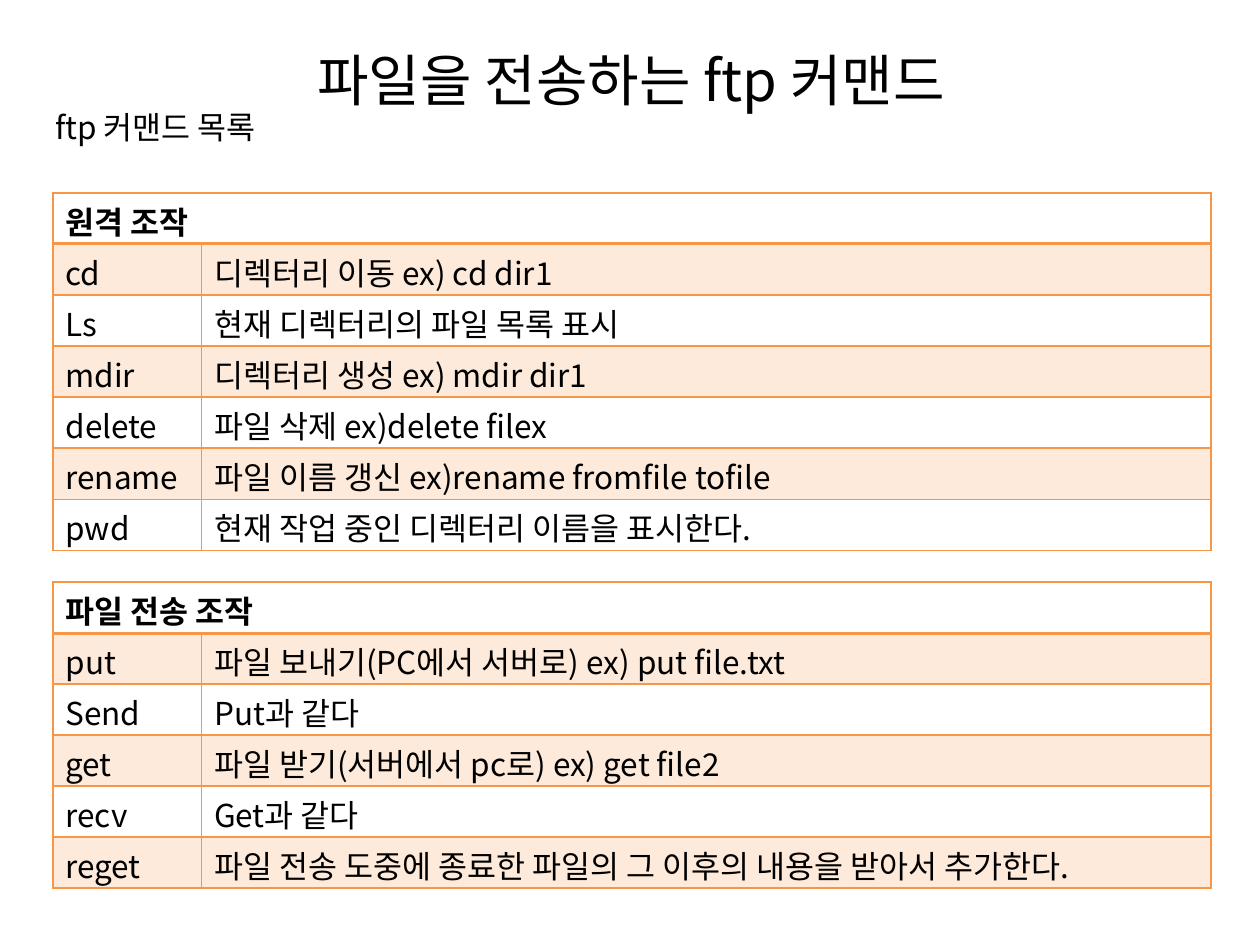
from lxml.etree import SubElement
from pptx import Presentation
from pptx.dml.color import RGBColor
from pptx.enum.text import MSO_ANCHOR, PP_ALIGN
from pptx.oxml import parse_xml
from pptx.oxml.ns import nsdecls, qn
from pptx.util import Inches, Pt

FONT = "Noto Sans CJK KR"
BLACK = RGBColor(0, 0, 0)
ORANGE = RGBColor(0xF7, 0x96, 0x46)

REMOTE = [
    ("cd", "디렉터리 이동 ex) cd dir1"),
    ("Ls", "현재 디렉터리의 파일 목록 표시"),
    ("mdir", "디렉터리 생성 ex) mdir dir1"),
    ("delete", "파일 삭제 ex)delete filex"),
    ("rename", "파일 이름 갱신 ex)rename fromfile tofile"),
    ("pwd", "현재 작업 중인 디렉터리 이름을 표시한다."),
]
TRANSFER = [
    ("put", "파일 보내기(PC에서 서버로) ex) put file.txt"),
    ("Send ", "Put과 같다"),
    ("get", "파일 받기(서버에서 pc로) ex) get file2"),
    ("recv", "Get과 같다"),
    ("reget", "파일 전송 도중에 종료한 파일의 그 이후의 내용을 받아서 추가한다."),
]


def write(tf, text, size=18, bold=False, align=PP_ALIGN.LEFT):
    p = tf.paragraphs[0]
    p.alignment = align
    r = p.add_run()
    r.text = text
    r.font.name = FONT
    r.font.size = Pt(size)
    r.font.bold = bold
    r.font.color.rgb = BLACK
    SubElement(r.font._element, qn("a:ea")).set("typeface", FONT)


def place(sp, left, top, width, height):
    sp.left, sp.top = Inches(left), Inches(top)
    sp.width, sp.height = Inches(width), Inches(height)


def add_title(s, text):
    sp = s.shapes.title
    place(sp, 0.51, 0, 9, 1.25)
    sp.text_frame.vertical_anchor = MSO_ANCHOR.MIDDLE
    write(sp.text_frame, text, size=32, align=PP_ALIGN.CENTER)


def add_label(s, text):
    sp = s.shapes.add_textbox(Inches(0.34), Inches(0.81), Inches(9.37), Inches(0.4))
    sp.text_frame.word_wrap = True
    write(sp.text_frame, text)


def fill_cell(cell, shaded):
    if not shaded:
        cell.fill.background()
        return
    cell.fill.solid()
    cell.fill.fore_color.rgb = ORANGE
    color = cell._tc.tcPr.find(".//" + qn("a:srgbClr"))
    SubElement(color, qn("a:alpha")).set("val", "20000")


def set_borders(cell, **widths):
    for i, side in enumerate("LRTB"):
        cell._tc.tcPr.insert(i, parse_xml(
            f'<a:ln{side} {nsdecls("a")} w="{Pt(widths.get(side, 1))}">'
            f'<a:solidFill><a:srgbClr val="{ORANGE}"/></a:solidFill></a:ln{side}>'))


def add_commands(s, heading, commands, top, height):
    rows = [(heading, "")] + commands
    frame = s.shapes.add_table(len(rows), 2, Inches(0.42), Inches(top),
                               Inches(9.19), Inches(height))
    table = frame.table
    for column, width in zip(table.columns, (1.18, 8.01)):
        column.width = Inches(width)
    for i, texts in enumerate(rows):
        table.rows[i].height = Inches(height / len(rows))
        for cell, text in zip(table.rows[i].cells, texts):
            cell.margin_top, cell.margin_bottom = Inches(0.04), 0
            fill_cell(cell, shaded=i % 2 == 1)
            edges = {0: {"B": 2}, 1: {"T": 2}}.get(i, {})
            set_borders(cell, **edges)
            if text:
                write(cell.text_frame, text, bold=i == 0)
    table.cell(0, 0).merge(table.cell(0, 1))


def main():
    prs = Presentation()
    prs.slide_width, prs.slide_height = Inches(10), Inches(7.5)
    s = prs.slides.add_slide(prs.slide_layouts[5])
    add_title(s, "파일을 전송하는 ftp 커맨드")
    add_label(s, "ftp 커맨드 목록")
    add_commands(s, "원격 조작", REMOTE, top=1.53, height=2.84)
    add_commands(s, "파일 전송 조작", TRANSFER, top=4.62, height=2.43)
    prs.save("out.pptx")


main()
